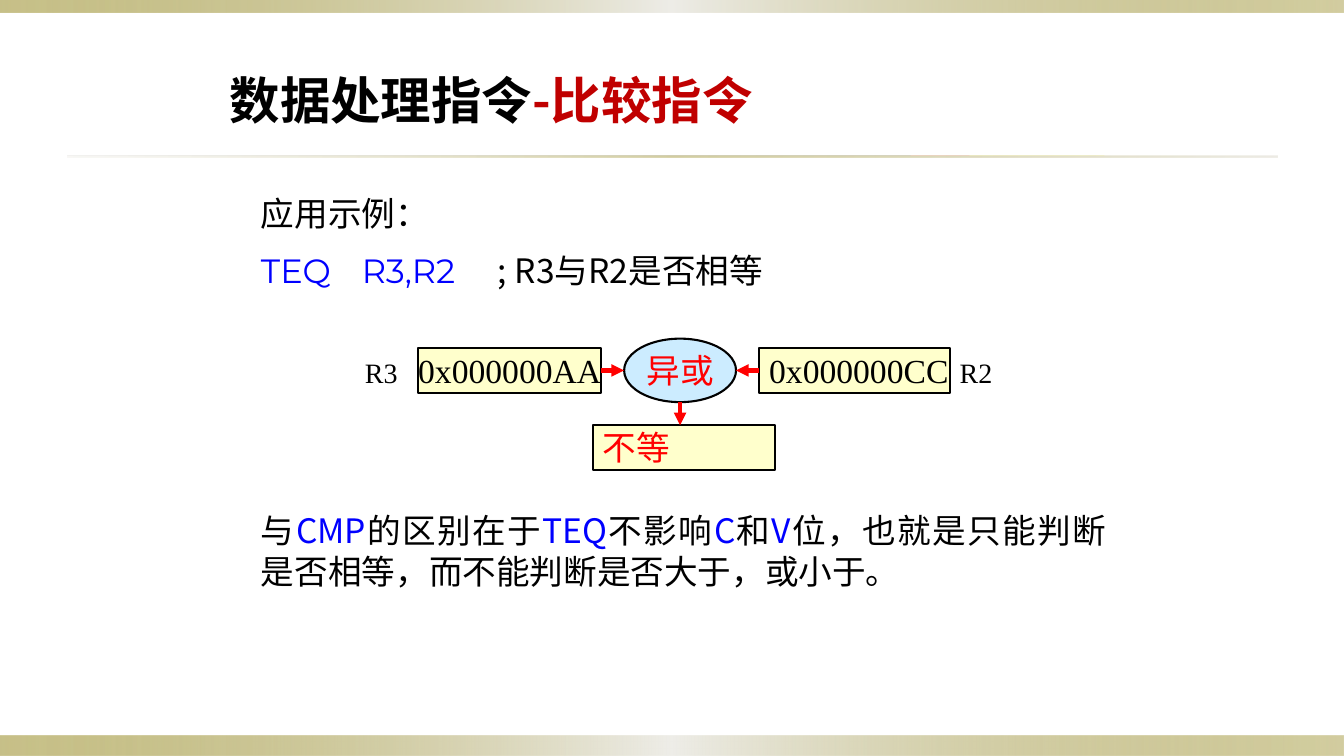
import pptx
import pptx.dml.color
import pptx.enum.shapes
import pptx.enum.text
import pptx.oxml
import pptx.oxml.ns
import pptx.util
from dataclasses import dataclass

Inches, Pt = pptx.util.Inches, pptx.util.Pt
SHAPE = pptx.enum.shapes.MSO_SHAPE
ALIGN = pptx.enum.text.PP_ALIGN
ANCHOR = pptx.enum.text.MSO_ANCHOR
NS = pptx.oxml.ns.nsdecls("a")


@dataclass(frozen=True)
class Theme:
    black: str = "000000"
    red: str = "FF0000"
    dark_red: str = "C00000"
    blue: str = "0000FF"
    cream: str = "FFFFCC"
    sky: str = "CCECFF"
    # Gradient stops: position, colour, opacity (all in percent)
    band: tuple = ((0, "918415", 50), (50, "EEEDE8", 100), (100, "918415", 40))
    rule: tuple = ((0, "DCD9CC", 20), (50, "918415", 40), (100, "DCD9CC", 50))
    title_size: int = 36
    body_size: int = 24
    label_size: int = 20
    title_leading: int = 46
    body_leading: int = 29
    body_gap: int = 12
    latin: str = "Arial"
    body: str = "Montserrat"
    cjk: str = "Noto Sans CJK SC"
    cjk_jp: str = "Noto Sans CJK JP"
    serif: str = "Times New Roman"


T = Theme()


def rgb(color):
    return pptx.dml.color.RGBColor.from_string(color)


def add_run(p, text, size, font, color, bold=False):
    r = p.add_run()
    r.text = text
    r.font.size, r.font.name, r.font.bold = Pt(size), font, bold
    r.font.color.rgb = rgb(color)
    ea = T.cjk_jp if font == T.cjk_jp else T.cjk
    r.font._element.find(pptx.oxml.ns.qn("a:latin")).addnext(
        pptx.oxml.parse_xml(f'<a:ea {NS} typeface="{ea}"/>'))


def add_box(slide, box, wrap=True, anchor=ANCHOR.TOP):
    sp = slide.shapes.add_textbox(*map(Inches, box))
    tf = sp.text_frame
    tf.word_wrap, tf.vertical_anchor = wrap, anchor
    return tf


def add_gradient_bar(slide, box, stops):
    sp = slide.shapes.add_shape(SHAPE.RECTANGLE, *map(Inches, box))
    sp.shadow.inherit = False
    sp.line.fill.background()
    gs = "".join(
        f'<a:gs pos="{pos * 1000}"><a:srgbClr val="{color}">'
        f'<a:alpha val="{alpha * 1000}"/></a:srgbClr></a:gs>'
        for pos, color, alpha in stops)
    sp._element.spPr.find(pptx.oxml.ns.qn("a:prstGeom")).addnext(
        pptx.oxml.parse_xml(f'<a:gradFill {NS} rotWithShape="1"><a:gsLst>{gs}'
                            '</a:gsLst><a:lin ang="0" scaled="1"/></a:gradFill>'))


def add_frame(slide, width, height):
    """Bands at the top and bottom edges and the rule under the title."""
    add_gradient_bar(slide, (0, height - 0.2, width, 0.2), T.band)
    add_gradient_bar(slide, (0, 0, width, 0.12), T.band)
    add_gradient_bar(slide, (0.67, 1.54, 12, 0.02), T.rule)


def add_title(slide, box):
    p = add_box(slide, box).paragraphs[0]
    p.line_spacing = Pt(T.title_leading)
    add_run(p, "数据处理指令", T.title_size, T.latin, T.black, True)
    add_run(p, "-比较指令", T.title_size, T.cjk, T.dark_red, True)


def add_example(slide, box):
    """Heading and the instruction with its comment, set on tab stops."""
    tf = add_box(slide, box)
    p = tf.paragraphs[0]
    p.line_spacing = Pt(T.body_leading)
    add_run(p, "应用示例：", T.body_size, T.body, T.black)

    p = tf.add_paragraph()
    p.line_spacing, p.space_before = Pt(T.body_leading), Pt(T.body_gap)
    tabs = "".join(f'<a:tab pos="{Inches(x)}" algn="l"/>' for x in (1, 2.35))
    p._p.get_or_add_pPr().append(
        pptx.oxml.parse_xml(f"<a:tabLst {NS}>{tabs}</a:tabLst>"))
    add_run(p, "TEQ\tR3,R2\t", T.body_size, T.body, T.blue)
    add_run(p, "; R3与R2是否相等", T.body_size, T.cjk_jp, T.black)


def add_node(slide, kind, box, text, fill, color, align):
    sp = slide.shapes.add_shape(kind, *map(Inches, box))
    sp.shadow.inherit = False
    sp.fill.solid()
    sp.fill.fore_color.rgb = rgb(fill)
    sp.line.color.rgb, sp.line.width = rgb(T.black), Pt(1.5)
    tf = sp.text_frame
    tf.word_wrap, tf.vertical_anchor = False, ANCHOR.MIDDLE
    tf.paragraphs[0].alignment = align
    add_run(tf.paragraphs[0], text, T.body_size, T.serif, color)
    return sp


def add_arrow(slide, start, end):
    line = slide.shapes.add_connector(
        pptx.enum.shapes.MSO_CONNECTOR.STRAIGHT, *map(Inches, start + end))
    line.line.color.rgb, line.line.width = rgb(T.red), Pt(3)
    line.line._get_or_add_ln().append(
        pptx.oxml.parse_xml(f'<a:tailEnd {NS} type="triangle"/>'))
    line._element.spPr.append(pptx.oxml.parse_xml(f"<a:effectLst {NS}/>"))
    return line


def add_xor_diagram(slide, box):
    """Two registers feed the XOR ellipse, whose result drops below."""
    left, top, width, height = box
    op_h, reg_h, gap = 0.63, 0.44, 0.23
    mid = top + op_h / 2
    reg_y = mid - reg_h / 2
    r3_x, r3_w, op_w, r2_w = left + 0.63, 1.81, 1.11, 1.89
    op_x = r3_x + r3_w + gap
    r2_x = op_x + op_w + gap
    op_mid = op_x + op_w / 2

    # Registers, operator and result
    r3 = add_node(slide, SHAPE.RECTANGLE, (r3_x, reg_y, r3_w, reg_h),
                  "0x000000AA", T.cream, T.black, ALIGN.CENTER)
    r2 = add_node(slide, SHAPE.RECTANGLE, (r2_x, reg_y, r2_w, reg_h),
                  "0x000000CC", T.cream, T.black, ALIGN.LEFT)
    add_node(slide, SHAPE.OVAL, (op_x, top, op_w, op_h),
             "异或", T.sky, T.red, ALIGN.CENTER)
    add_node(slide, SHAPE.RECTANGLE,
             (left + 2.36, top + height - reg_h, r3_w, reg_h),
             "不等", T.cream, T.red, ALIGN.LEFT)

    # Register names
    for name, x, w in (("R3", left, 0.71), ("R2", r2_x + r2_w, 0.79)):
        tf = add_box(slide, (x, reg_y, w, 0.47), False, ANCHOR.MIDDLE)
        add_run(tf.paragraphs[0], name, T.label_size, T.serif, T.black)

    # Arrows
    add_arrow(slide, (op_x - gap, mid), (op_x, mid)).begin_connect(r3, 3)
    add_arrow(slide, (r2_x, mid), (r2_x - gap, mid)).begin_connect(r2, 1)
    add_arrow(slide, (op_mid, top + op_h), (op_mid, top + height - reg_h))


def add_remark(slide, box):
    p = add_box(slide, box).paragraphs[0]
    p.alignment, p.line_spacing = ALIGN.JUSTIFY, Pt(T.body_leading)
    parts = ("与", "CMP", "的区别在于", "TEQ", "不影响", "C", "和", "V",
             "位，也就是只能判断是否相等，而不能判断是否大于，或小于。")
    for i, text in enumerate(parts):
        add_run(p, text, T.body_size, T.cjk, T.blue if i % 2 else T.black)


def main():
    width, height = 13.33, 7.5
    prs = pptx.Presentation()
    prs.slide_width, prs.slide_height = Inches(width), Inches(height)
    slide = prs.slides.add_slide(prs.slide_layouts[6])
    add_frame(slide, width, height)
    add_title(slide, (2.18, 0.6, 8.35, 1.31))
    add_example(slide, (2.49, 1.86, 8.58, 1.11))
    add_xor_diagram(slide, (3.52, 3.36, 6.69, 1.3))
    add_remark(slide, (2.49, 5.01, 8.58, 0.91))
    prs.save("out.pptx")


if __name__ == "__main__":
    main()
